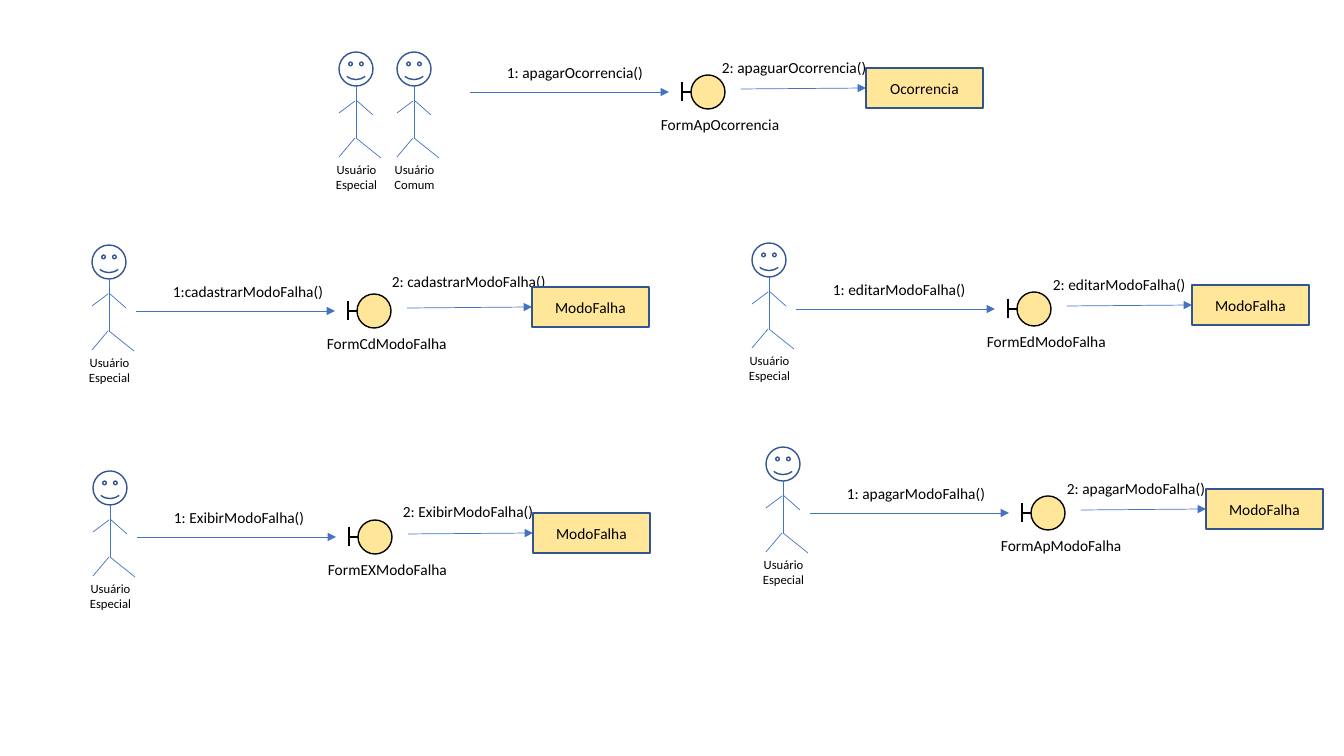
import pptx
import pptx.util
import pptx.dml.color
import pptx.enum.shapes
import pptx.enum.text
import pptx.oxml.ns
import lxml.etree

SHAPE = pptx.enum.shapes.MSO_SHAPE
ALIGN = pptx.enum.text.PP_ALIGN
ANCHOR = pptx.enum.text.MSO_ANCHOR
EMU_PER_PIXEL = 914400 / 100.8


def px(length):
    return pptx.util.Emu(round(length * EMU_PER_PIXEL))


def color(value):
    return pptx.dml.color.RGBColor.from_string(value)


class DiagramSlide:
    FONT = "Calibri"
    BLACK = "000000"
    OUTLINE = "325491"
    STROKE = "4472C4"
    FILL = "FFE699"

    def __init__(self, slide):
        self.slide = slide

    def set_text(self, shape, text, size, align):
        frame = shape.text_frame
        frame.text = text
        paragraph = frame.paragraphs[0]
        paragraph.alignment = align
        font = paragraph.runs[0].font
        font.name = self.FONT
        font.size = pptx.util.Pt(size)
        font.color.rgb = color(self.BLACK)

    def text(self, x, y, width, height, text, size=11, wrap=False, align=ALIGN.LEFT, group=None):
        shapes = group.shapes if group else self.slide.shapes
        box = shapes.add_textbox(px(x), px(y), px(width), px(height))
        box.text_frame.word_wrap = wrap
        box.text_frame.auto_size = pptx.enum.text.MSO_AUTO_SIZE.SHAPE_TO_FIT_TEXT
        self.set_text(box, text, size, align)

    def shape(self, kind, x, y, width, height, fill=None, line=OUTLINE, text=None, group=None):
        shapes = group.shapes if group else self.slide.shapes
        shape = shapes.add_shape(kind, px(x), px(y), px(width), px(height))
        shape.shadow.inherit = False
        if fill:
            shape.fill.solid()
            shape.fill.fore_color.rgb = color(fill)
        else:
            shape.fill.background()
        shape.line.color.rgb = color(line)
        shape.line.width = pptx.util.Pt(1)
        if text:
            shape.text_frame.vertical_anchor = ANCHOR.MIDDLE
            self.set_text(shape, text, 11, ALIGN.CENTER)

    def line(self, x1, y1, x2, y2, stroke=STROKE, width=0.5, arrow=False, group=None):
        shapes = group.shapes if group else self.slide.shapes
        connector = shapes.add_connector(
            pptx.enum.shapes.MSO_CONNECTOR.STRAIGHT, px(x1), px(y1), px(x2), px(y2))
        connector.line.color.rgb = color(stroke)
        connector.line.width = pptx.util.Pt(width)
        properties = connector.element.spPr
        if arrow:
            outline = properties.find(pptx.oxml.ns.qn("a:ln"))
            tail = lxml.etree.SubElement(outline, pptx.oxml.ns.qn("a:tailEnd"))
            tail.set("type", "triangle")
        lxml.etree.SubElement(properties, pptx.oxml.ns.qn("a:effectLst"))

    def actor(self, x, y, role):
        group = self.slide.shapes.add_group_shape()
        self.shape(SHAPE.SMILEY_FACE, x, y, 34, 34, group=group)
        limbs = [(17, 34, 17, 86), (16, 49, 0, 61), (17, 48, 34, 63),
                 (16, 86, 0, 105), (17, 86, 42, 106)]
        for x1, y1, x2, y2 in limbs:
            self.line(x + x1, y + y1, x + x2, y + y2, group=group)
        self.text(x - 15, y + 105, 65, 40, "Usuário " + role, 9, True, ALIGN.CENTER, group)

    def boundary(self, x, y, name):
        self.shape(SHAPE.OVAL, x, y - 17, 34, 34, self.FILL, self.BLACK)
        self.line(x, y, x - 9, y, self.BLACK, 1)
        self.line(x - 9, y - 10, x - 9, y + 9, self.BLACK, 1)
        self.text(x - 40, y + 18, 142, 29, name)

    def flow(self, x, y, first_call, first_width, form, second_call, second_at, second_width, entity):
        self.line(x, y, x + 199, y, arrow=True)
        self.text(x + 27, y - 34, first_width, 29, first_call)
        self.boundary(x + 221, y, form)
        self.line(x + 271, y - 3, x + 396, y - 4, arrow=True)
        second_x, second_y = second_at
        self.text(x + second_x, y + second_y, second_width, 29, second_call)
        self.shape(SHAPE.RECTANGLE, x + 396, y - 24, 117, 40, self.FILL, text=entity)


presentation = pptx.Presentation()
presentation.slide_width = px(1344)
presentation.slide_height = px(756)
diagram = DiagramSlide(presentation.slides.add_slide(presentation.slide_layouts[6]))

diagram.actor(397, 52, "Comum")
diagram.actor(339, 52, "Especial")
diagram.flow(470, 92, "1: apagarOcorrencia()", 158, "FormApOcorrencia",
             "2: apaguarOcorrencia()", (242, -39), 166, "Ocorrencia")

failure_mode_flows = [
    (810, 513, "1: apagarModoFalha()", 160, "FormApModoFalha",
     "2: apagarModoFalha()", (247, -39), 160),
    (137, 537, "1: ExibirModoFalha()", 152, "FormEXModoFalha",
     "2: ExibirModoFalha()", (256, -40), 152),
    (136, 311, "1:cadastrarModoFalha()", 172, "FormCdModoFalha",
     "2: cadastrarModoFalha()", (246, -44), 175),
    (796, 309, "1: editarModoFalha()", 154, "FormEdModoFalha",
     "2: editarModoFalha()", (247, -39), 154),
]
for x, y, *steps in failure_mode_flows:
    diagram.actor(x - 44, y - 66, "Especial")
    diagram.flow(x, y, *steps, "ModoFalha")

presentation.save("out.pptx")
